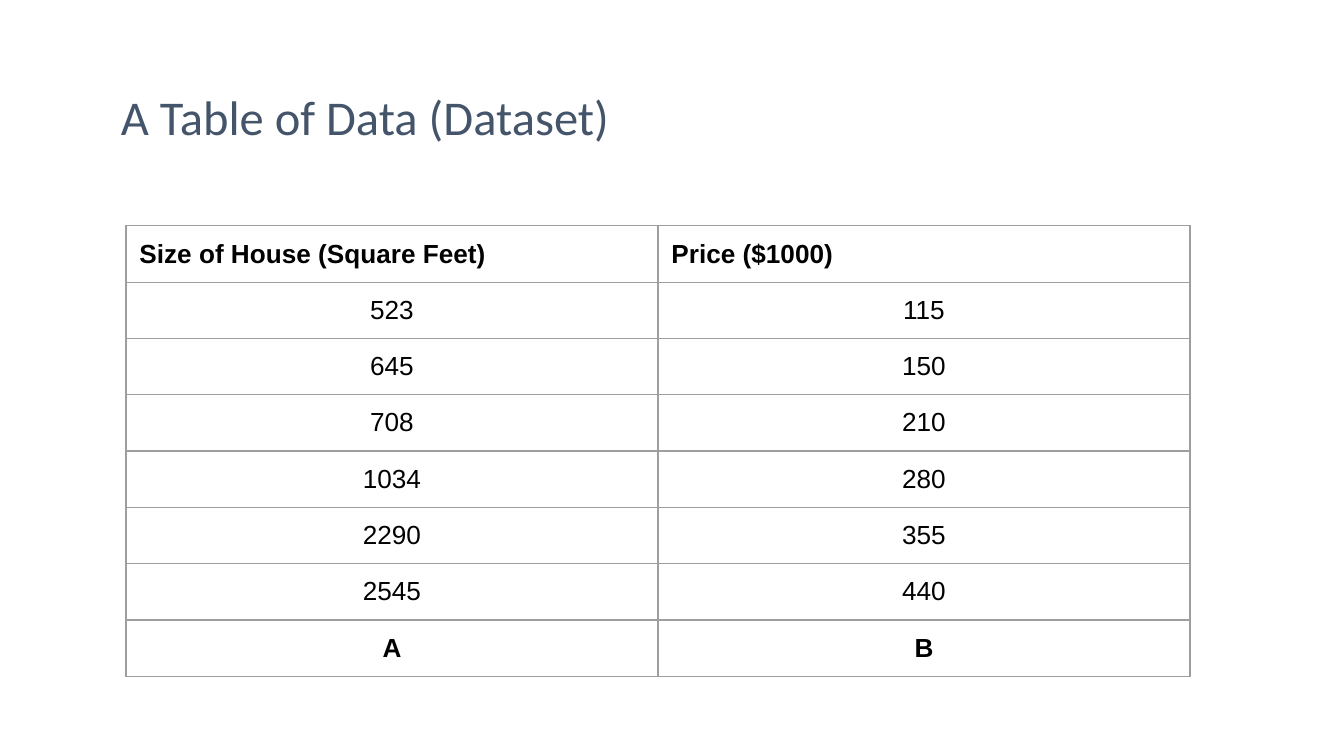
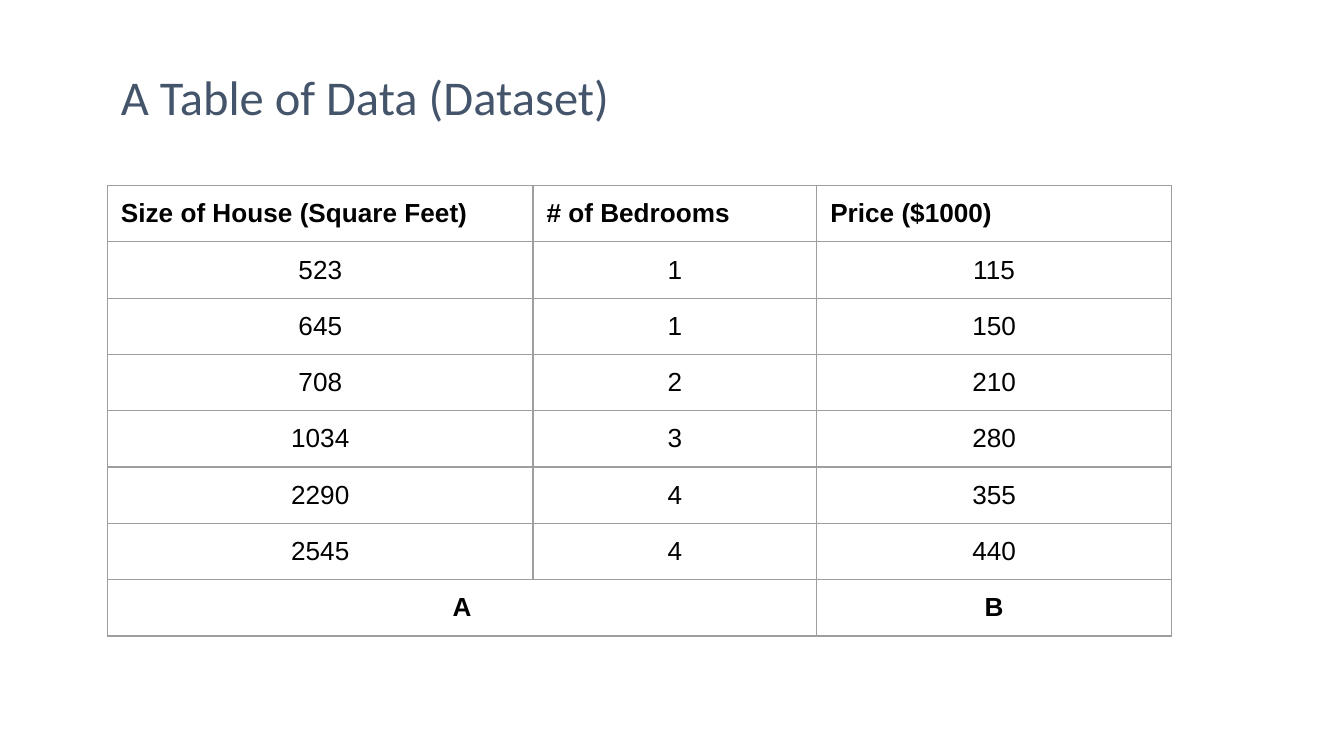
from lxml.etree import SubElement
from pptx import Presentation
from pptx.dml.color import RGBColor
from pptx.enum.text import MSO_ANCHOR, MSO_AUTO_SIZE, PP_ALIGN
from pptx.oxml.ns import qn
from pptx.util import Pt

SLATE = RGBColor(0x44, 0x54, 0x6A)
BLACK = RGBColor(0, 0, 0)
GREY = RGBColor(0x9E, 0x9E, 0x9E)
TITLE = "A Table of Data (Dataset)"
PAD = 7.2
ROW = 30.13
WIDE = 570

SIZES = ["Size of House (Square Feet)", "523", "645", "708", "1034", "2290", "2545", "A"]
ROOMS = ["# of Bedrooms", "1", "1", "2", "3", "4", "4", ""]
PRICES = ["Price ($1000)", "115", "150", "210", "280", "355", "440", "B"]


def add_title(slide, left, top, width, height):
    """Place and format the title placeholder in the given box."""
    title = slide.shapes.title
    title.left, title.top = Pt(left), Pt(top)
    title.width, title.height = Pt(width), Pt(height)
    frame = title.text_frame
    frame.auto_size = MSO_AUTO_SIZE.NONE
    frame.word_wrap = True
    frame.vertical_anchor = MSO_ANCHOR.MIDDLE
    frame.margin_left = frame.margin_right = Pt(PAD)
    frame.margin_top = frame.margin_bottom = Pt(PAD)
    frame.text = TITLE
    line = frame.paragraphs[0]
    line.alignment = PP_ALIGN.LEFT
    line.line_spacing = 0.9
    line.font.name, line.font.size = "Calibri", Pt(26)
    line.font.color.rgb = SLATE


def add_edges(cell):
    """Draw a thin grey line on every side of a cell."""
    props = cell._tc.get_or_add_tcPr()
    for side in ("lnL", "lnR", "lnT", "lnB"):
        edge = SubElement(props, qn(f"a:{side}"), w=str(Pt(0.75)))
        fill = SubElement(edge, qn("a:solidFill"))
        SubElement(fill, qn("a:srgbClr"), val=str(GREY))


def fill_cell(cell, text, bold, align):
    """Write and format one cell."""
    cell.margin_left = cell.margin_right = Pt(PAD)
    cell.margin_top = cell.margin_bottom = Pt(PAD)
    add_edges(cell)
    cell.fill.background()
    cell.text = text
    line = cell.text_frame.paragraphs[0]
    line.alignment = align
    line.font.name, line.font.size = "Arial", Pt(14)
    line.font.bold = bold
    line.font.color.rgb = BLACK


def add_data(slide, left, top, width, parts, columns):
    """Add a table of columns whose widths share the width by parts."""
    rows = list(zip(*columns))
    last = len(rows) - 1
    table = slide.shapes.add_table(
        len(rows), len(columns), Pt(left), Pt(top), Pt(width), Pt(ROW * len(rows))
    ).table
    table.first_row = table.horz_banding = False
    for column, part in zip(table.columns, parts):
        column.width = Pt(width * part / sum(parts))
    for r, row in enumerate(rows):
        table.rows[r].height = Pt(ROW)
        align = PP_ALIGN.CENTER if r else PP_ALIGN.LEFT
        for c, text in enumerate(row):
            fill_cell(table.cell(r, c), text, r in (0, last), align)
    if len(columns) > 2:
        table.cell(last, 0).merge(table.cell(last, len(columns) - 2))


def add_page(deck, head, left, top, parts, columns):
    """Add a slide with a title and a data table."""
    slide = deck.slides.add_slide(deck.slide_layouts[5])
    add_title(slide, 57.6, head, 605.5, 42.5)
    add_data(slide, left, top, WIDE, parts, columns)


def main():
    """Build and save the deck."""
    deck = Presentation()
    deck.slide_width, deck.slide_height = Pt(720), Pt(405)
    add_page(deck, 43.2, 67.5, 121, (1, 1), (SIZES, PRICES))
    add_page(deck, 32.4, 57.6, 99.4, (6, 4, 5), (SIZES, ROOMS, PRICES))
    deck.save("out.pptx")


if __name__ == "__main__":
    main()
